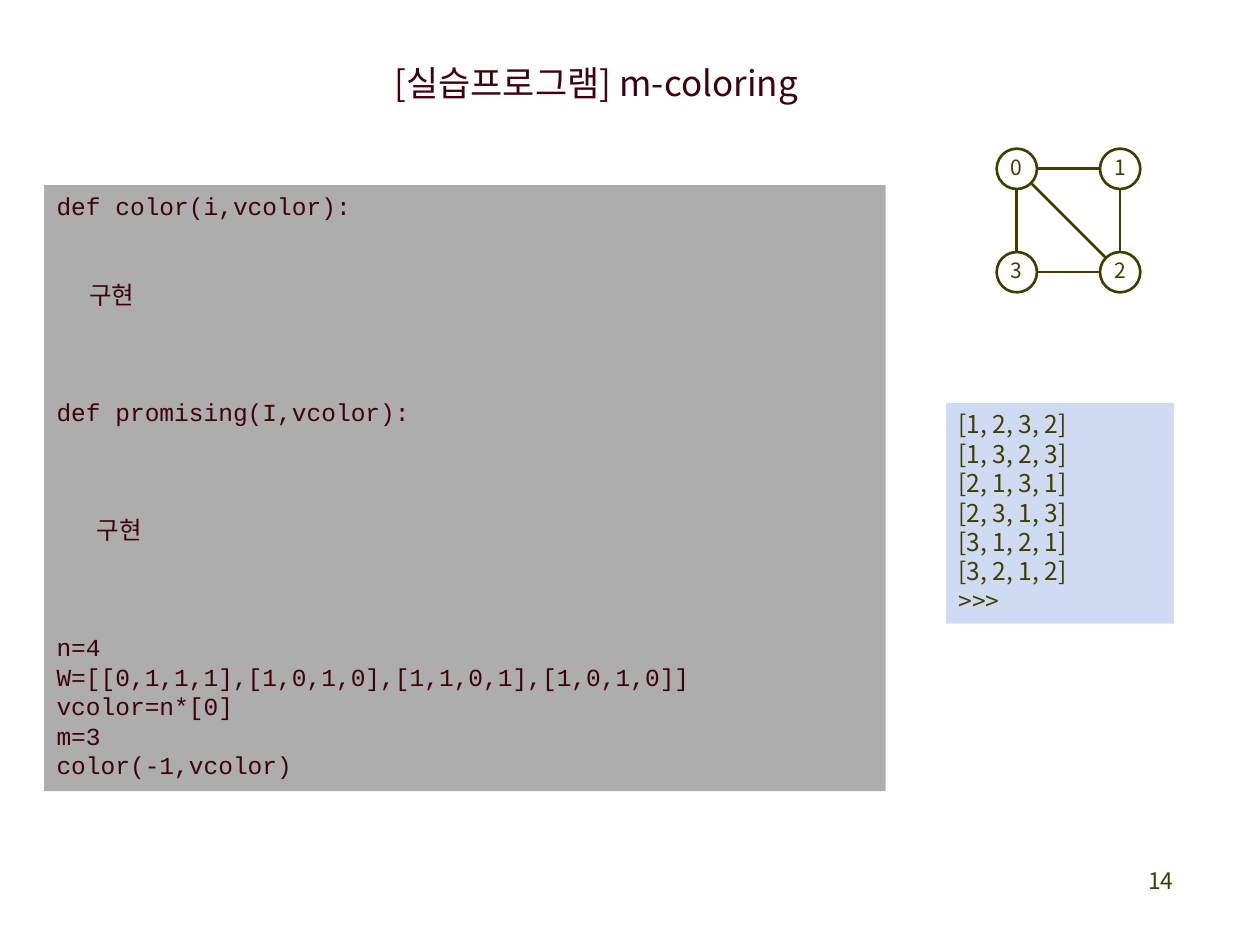
from dataclasses import dataclass
from math import hypot

from lxml.etree import SubElement
from pptx import Presentation
from pptx.dml.color import RGBColor
from pptx.enum.shapes import MSO_CONNECTOR, MSO_SHAPE
from pptx.enum.text import MSO_ANCHOR, PP_ALIGN
from pptx.oxml.ns import qn
from pptx.util import Inches, Pt


@dataclass(frozen=True)
class Theme:
    olive: RGBColor = RGBColor.from_string("3F3E00")
    maroon: RGBColor = RGBColor.from_string("3E020C")
    code_fill: RGBColor = RGBColor.from_string("ADADAD")
    output_fill: RGBColor = RGBColor.from_string("CFDBF3")
    sans: str = "Noto Sans CJK KR"
    mono: str = "Courier New"
    title_size: float = 20
    body_size: float = 14
    page_size: float = 13
    node_size: float = 12
    line_width: float = 1.5
    leading: float = 1.2


@dataclass(frozen=True)
class Line:
    text: str
    gap: int = 0
    indent: float = 0


class SlideBuilder:
    def __init__(self, slide, theme):
        self.slide = slide
        self.theme = theme

    def style(self, paragraph, size, color, font, align=PP_ALIGN.LEFT):
        paragraph.alignment = align
        paragraph.line_spacing = Pt(size * self.theme.leading)
        paragraph.font.size = Pt(size)
        paragraph.font.name = font
        paragraph.font.color.rgb = color
        SubElement(paragraph.font._rPr, qn("a:ea"), typeface=self.theme.sans)

    def title(self, text, left, top, width, height):
        heading = self.slide.shapes.title
        heading.left, heading.top = Inches(left), Inches(top)
        heading.width, heading.height = Inches(width), Inches(height)
        frame = heading.text_frame
        frame.text = text
        frame.word_wrap = False
        frame.vertical_anchor = MSO_ANCHOR.TOP
        self.style(frame.paragraphs[0], self.theme.title_size, self.theme.maroon, self.theme.sans)

    def page_number(self, text, left, top, width, height):
        label = self.slide.shapes.add_textbox(
            Inches(left), Inches(top), Inches(width), Inches(height))
        frame = label.text_frame
        frame.word_wrap = True
        frame.text = text
        self.style(frame.paragraphs[0], self.theme.page_size, self.theme.olive,
                   self.theme.sans, PP_ALIGN.RIGHT)

    def panel(self, lines, left, top, width, height, fill, color, font):
        panel = self.slide.shapes.add_shape(
            MSO_SHAPE.RECTANGLE, Inches(left), Inches(top), Inches(width), Inches(height))
        panel.shadow.inherit = False
        panel.fill.solid()
        panel.fill.fore_color.rgb = fill
        panel.line.fill.background()
        frame = panel.text_frame
        frame.word_wrap = True
        frame.vertical_anchor = MSO_ANCHOR.TOP
        size = self.theme.body_size
        for index, line in enumerate(lines):
            paragraph = frame.add_paragraph() if index else frame.paragraphs[0]
            paragraph.text = line.text
            self.style(paragraph, size, color, font)
            paragraph.space_before = Pt(line.gap * size * self.theme.leading)
            if line.indent:
                paragraph._p.get_or_add_pPr().set("marL", str(Inches(line.indent)))

    def node(self, text, center, radius):
        x, y = center
        node = self.slide.shapes.add_shape(
            MSO_SHAPE.OVAL, Inches(x - radius), Inches(y - radius),
            Inches(2 * radius), Inches(2 * radius))
        node.shadow.inherit = False
        node.fill.background()
        node.line.color.rgb = self.theme.olive
        node.line.width = Pt(self.theme.line_width)
        frame = node.text_frame
        frame.margin_left = frame.margin_right = frame.margin_top = frame.margin_bottom = 0
        frame.vertical_anchor = MSO_ANCHOR.MIDDLE
        frame.text = text
        paragraph = frame.paragraphs[0]
        self.style(paragraph, self.theme.node_size, self.theme.olive,
                   self.theme.sans, PP_ALIGN.CENTER)
        paragraph.line_spacing = 0.9

    def edge(self, start, end, radius):
        (x1, y1), (x2, y2) = start, end
        length = hypot(x2 - x1, y2 - y1)
        dx, dy = radius * (x2 - x1) / length, radius * (y2 - y1) / length
        edge = self.slide.shapes.add_connector(
            MSO_CONNECTOR.STRAIGHT, Inches(x1 + dx), Inches(y1 + dy),
            Inches(x2 - dx), Inches(y2 - dy))
        edge.line.color.rgb = self.theme.olive
        edge.line.width = Pt(self.theme.line_width)
        SubElement(edge._element.spPr, qn("a:effectLst"))


CODE = [
    Line("def color(i,vcolor):"),
    Line("구현", gap=2, indent=0.26),
    Line("def promising(I,vcolor):", gap=3),
    Line("구현", gap=3, indent=0.32),
    Line("n=4", gap=3),
    Line("W=[[0,1,1,1],[1,0,1,0],[1,1,0,1],[1,0,1,0]]"),
    Line("vcolor=n*[0]"),
    Line("m=3"),
    Line("color(-1,vcolor)"),
]
COLORINGS = [[1, 2, 3, 2], [1, 3, 2, 3], [2, 1, 3, 1],
             [2, 3, 1, 3], [3, 1, 2, 1], [3, 2, 1, 2]]
NODE_CENTERS = [(8.07, 1.34), (8.89, 1.34), (8.89, 2.16), (8.07, 2.16)]
EDGES = [(0, 3), (3, 2), (1, 2), (0, 1), (0, 2)]
NODE_RADIUS = 0.16


def main():
    presentation = Presentation()
    presentation.slide_width, presentation.slide_height = Inches(10), Inches(7.5)
    theme = Theme()
    builder = SlideBuilder(presentation.slides.add_slide(presentation.slide_layouts[5]), theme)

    builder.title("[실습프로그램] m-coloring", 3.03, 0.44, 3.74, 0.44)
    builder.page_number("14", 7.33, 6.83, 2.08, 0.5)
    builder.panel(CODE, 0.35, 1.47, 6.68, 4.81, theme.code_fill, theme.maroon, theme.mono)
    output = [Line(str(coloring)) for coloring in COLORINGS] + [Line(">>>")]
    builder.panel(output, 7.51, 3.2, 1.81, 1.75, theme.output_fill, theme.olive, theme.sans)

    for number, center in enumerate(NODE_CENTERS):
        builder.node(str(number), center, NODE_RADIUS)
    for start, end in EDGES:
        builder.edge(NODE_CENTERS[start], NODE_CENTERS[end], NODE_RADIUS)

    presentation.save("out.pptx")


if __name__ == "__main__":
    main()
